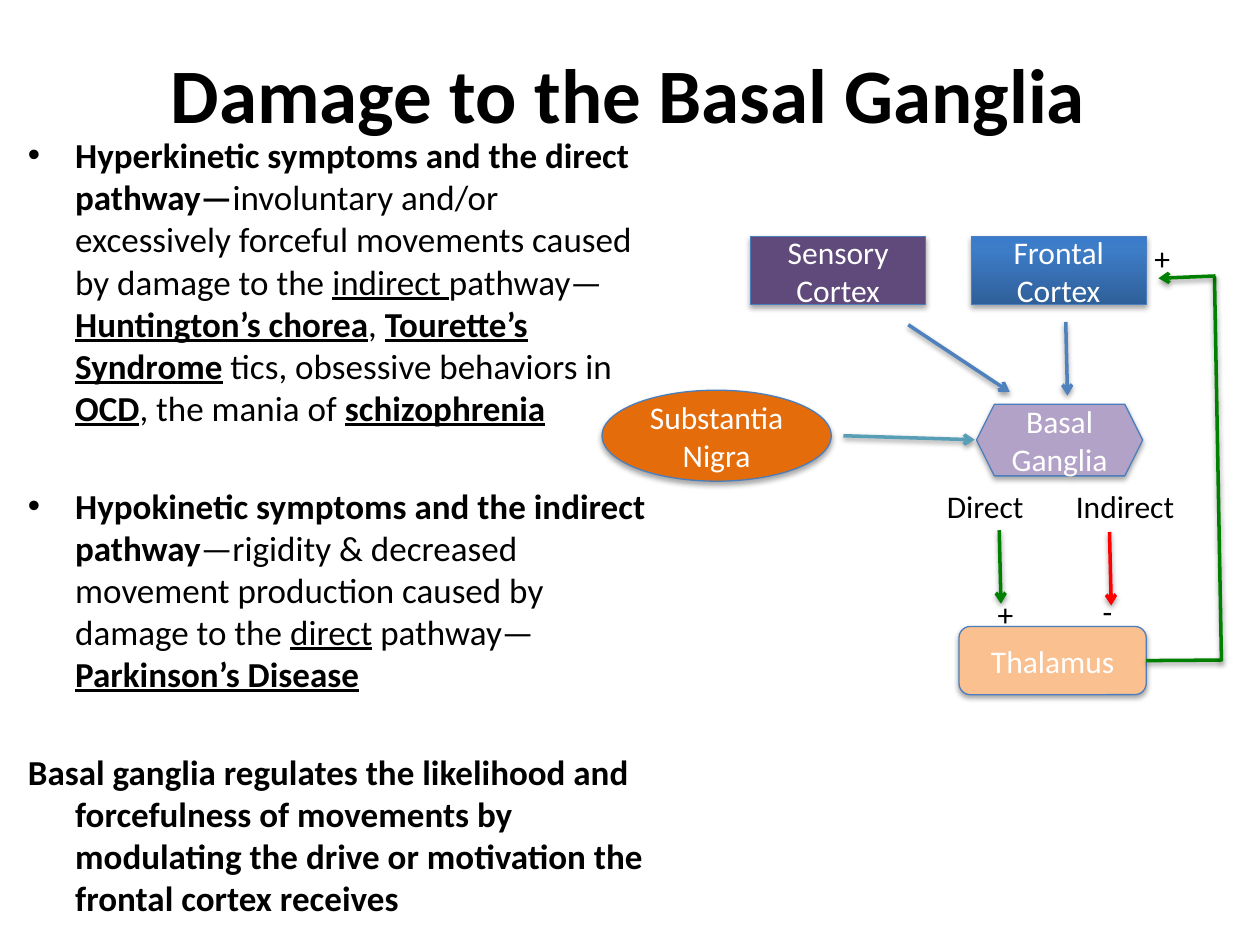
from lxml.etree import SubElement
from pptx import Presentation
from pptx.dml.color import RGBColor
from pptx.enum.shapes import MSO_CONNECTOR, MSO_SHAPE
from pptx.enum.text import MSO_ANCHOR, PP_ALIGN
from pptx.oxml.ns import qn
from pptx.util import Pt

THEME = {
    "font": "Calibri", "title": 44, "body": 20, "label": 18,
    "black": "000000", "white": "FFFFFF", "edge": "4B7EBC",
    "blue": "4F81BD", "teal": "569FB6", "green": "008000", "red": "FF0000",
    "purple": "604A7B", "lilac": "B3A2C7", "peach": "FAC090", "orange": "E46C0A",
    "fade": [(0, "2F5F99"), (80, "3D7CC7"), (100, "3A7CCB")],
}

TITLE = "Damage to the Basal Ganglia"
BODY = [
    (True, [
        ("Hyperkinetic symptoms and the direct pathway—", "b"),
        ("involuntary and/or excessively forceful movements caused by damage to the ", ""),
        ("indirect ", "u"),
        ("pathway—", ""),
        ("Huntington’s chorea", "bu"),
        (", ", ""),
        ("Tourette’s Syndrome", "bu"),
        (" tics, obsessive behaviors in ", ""),
        ("OCD", "bu"),
        (", the mania of ", ""),
        ("schizophrenia", "bu"),
    ]),
    (True, [
        ("Hypokinetic symptoms and the indirect pathway", "b"),
        ("—rigidity & decreased movement production caused by damage to the ", ""),
        ("direct", "u"),
        (" pathway—", ""),
        ("Parkinson’s Disease", "bu"),
    ]),
    (False, [
        ("Basal ganglia regulates the likelihood and forcefulness of movements by "
         "modulating the drive or motivation the frontal cortex receives", "b"),
    ]),
]
NODES = [
    ("Sensory Cortex", MSO_SHAPE.RECTANGLE, "purple", (429, 135.2, 100, 39)),
    ("Frontal Cortex", MSO_SHAPE.RECTANGLE, "fade", (555, 135.2, 100, 39)),
    ("Substantia\nNigra", MSO_SHAPE.OVAL, "orange", (344, 223, 131, 52)),
    ("Basal Ganglia", MSO_SHAPE.HEXAGON, "lilac", (558, 231, 95, 41)),
    ("Thalamus", MSO_SHAPE.ROUNDED_RECTANGLE, "peach", (548, 358, 107, 39)),
]
LINKS = [
    ("blue", (519, 185.6), (577, 224), True),
    ("blue", (609, 184), (610, 226), True),
    ("teal", (482, 249), (557, 251.3), True),
    ("green", (571, 303), (572, 345), True),
    ("red", (634, 304), (635, 346), True),
    ("green", (655, 377.5), (698, 377.2), False),
    ("green", (698, 378), (694, 157.7), False),
    ("green", (694.6, 157.7), (662, 159), True),
]
LABELS = [
    ("+", (652.5, 133.2, 24)),
    ("-", (623, 334.8, 20)),
    ("+", (563, 336.2, 24)),
    ("Direct", (534, 275, 59)),
    ("Indirect", (607.7, 275, 71)),
]


def tint(name):
    return RGBColor.from_string(THEME[name])


def style(para, size, color, bold=None):
    font = para.font
    font.name = THEME["font"]
    font.size = Pt(THEME[size])
    font.color.rgb = tint(color)
    font.bold = bold


def shade(item, alpha, dist):
    effects = SubElement(item._element.spPr, qn("a:effectLst"))
    outer = SubElement(effects, qn("a:outerShdw"), blurRad=str(Pt(3.1)),
                       dist=str(Pt(dist)), dir="5400000", rotWithShape="0")
    color = SubElement(outer, qn("a:srgbClr"), val=THEME["black"])
    SubElement(color, qn("a:alpha"), val=str(alpha * 1000))


def blend(shape, stops):
    shape.fill.gradient()
    shape.fill.gradient_angle = 90
    group = shape._element.spPr.find(qn("a:gradFill")).find(qn("a:gsLst"))
    for old in list(group):
        group.remove(old)
    for place, color in stops:
        stop = SubElement(group, qn("a:gs"), pos=str(place * 1000))
        SubElement(stop, qn("a:srgbClr"), val=color)


def add_title(slide):
    title = slide.shapes.title
    title.left, title.top, title.width, title.height = map(Pt, (35.3, 8, 648, 90))
    title.text_frame.text = TITLE
    title.text_frame.vertical_anchor = MSO_ANCHOR.MIDDLE
    para = title.text_frame.paragraphs[0]
    para.alignment = PP_ALIGN.CENTER
    style(para, "title", "black", True)


def add_body(slide):
    frame = slide.shapes.add_textbox(*map(Pt, (8.9, 73, 371, 458))).text_frame
    frame.word_wrap = True
    for i, (mark, runs) in enumerate(BODY):
        para = frame.paragraphs[0] if i == 0 else frame.add_paragraph()
        props = para._p.get_or_add_pPr()
        props.set("marL", str(Pt(27)))
        props.set("indent", str(Pt(-27)))
        if i:
            para.space_before = Pt(32)
        if mark:
            SubElement(props, qn("a:buFont"), typeface="Arial")
            SubElement(props, qn("a:buChar"), char="•")
        else:
            SubElement(props, qn("a:buNone"))
        style(para, "body", "black")
        for text, flags in runs:
            run = para.add_run()
            run.text = text
            run.font.bold = "b" in flags
            run.font.underline = "u" in flags


def add_node(slide, text, kind, fill, box):
    shape = slide.shapes.add_shape(kind, *map(Pt, box))
    if fill == "fade":
        blend(shape, THEME[fill])
    else:
        shape.fill.solid()
        shape.fill.fore_color.rgb = tint(fill)
    shape.line.color.rgb = tint("edge")
    shape.line.width = Pt(0.75)
    shade(shape, 35, 1.8)
    frame = shape.text_frame
    frame.text = text
    frame.word_wrap = True
    frame.vertical_anchor = MSO_ANCHOR.MIDDLE
    for para in frame.paragraphs:
        para.alignment = PP_ALIGN.CENTER
        style(para, "label", "white")


def add_link(slide, color, start, end, arrow):
    link = slide.shapes.add_connector(MSO_CONNECTOR.STRAIGHT, *map(Pt, start + end))
    link.line.color.rgb = tint(color)
    link.line.width = Pt(2)
    if arrow:
        SubElement(link.line._get_or_add_ln(), qn("a:tailEnd"), type="arrow")
    shade(link, 38, 1.6)


def add_label(slide, text, spot):
    frame = slide.shapes.add_textbox(*map(Pt, spot + (29,))).text_frame
    frame.word_wrap = False
    frame.text = text
    style(frame.paragraphs[0], "label", "black")


def main():
    deck = Presentation()
    deck.slide_width, deck.slide_height = Pt(720), Pt(540)
    slide = deck.slides.add_slide(deck.slide_layouts[5])
    add_title(slide)
    add_body(slide)
    for node in NODES:
        add_node(slide, *node)
    for link in LINKS:
        add_link(slide, *link)
    for label in LABELS:
        add_label(slide, *label)
    deck.save("out.pptx")


if __name__ == "__main__":
    main()
